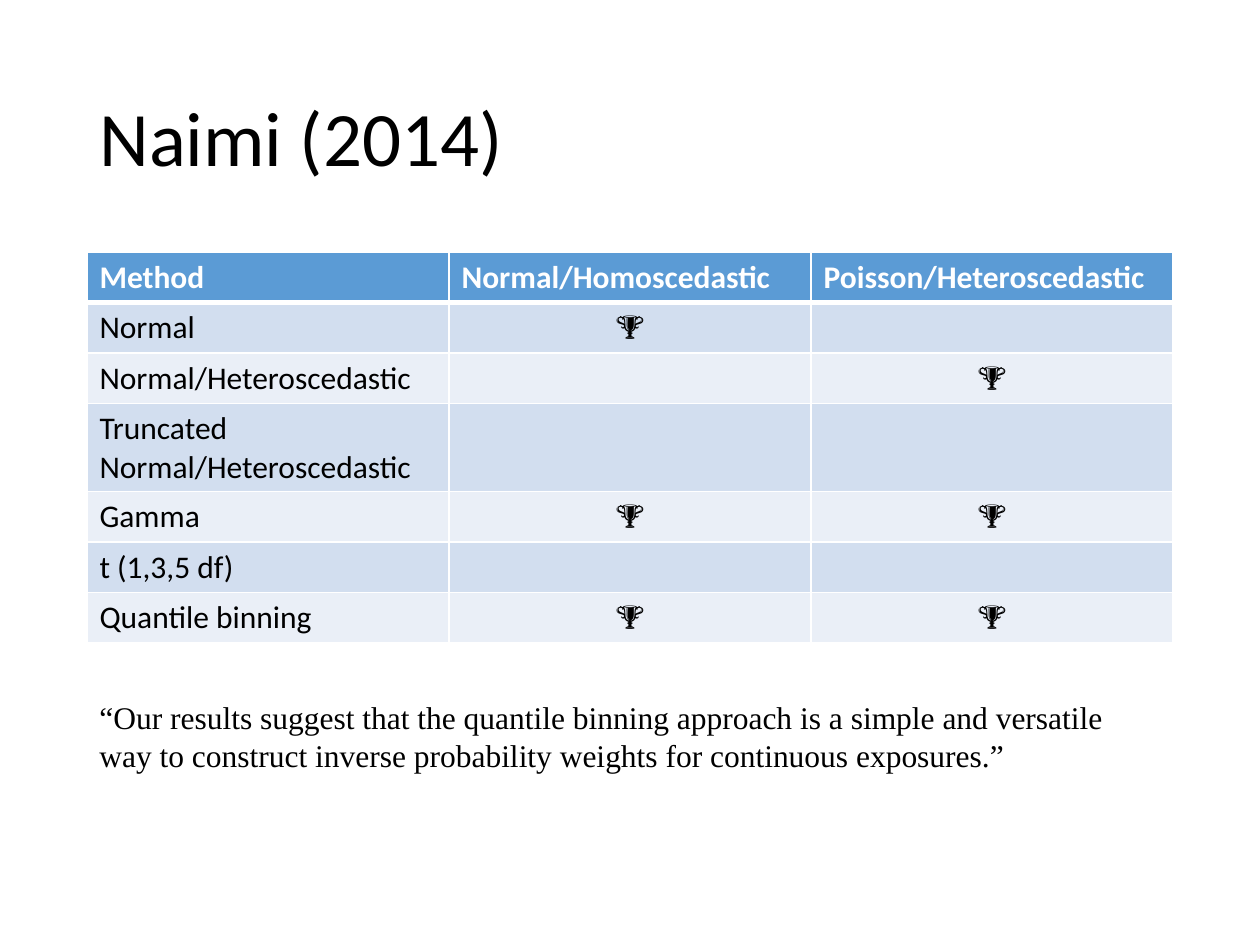
from lxml import etree
from pptx import Presentation
from pptx.dml.color import RGBColor
from pptx.enum.text import MSO_ANCHOR, PP_ALIGN
from pptx.oxml.ns import qn
from pptx.util import Inches, Pt

TITLE = "Naimi (2014)"
HEADERS = ["Method", "Normal/Homoscedastic", "Poisson/Heteroscedastic"]
# Method, wins under homoscedastic, wins under heteroscedastic
METHODS = [
    ("Normal", True, False),
    ("Normal/Heteroscedastic", False, True),
    ("Truncated Normal/Heteroscedastic", False, False),
    ("Gamma", True, True),
    ("t (1,3,5 df)", False, False),
    ("Quantile binning", True, True),
]
TROPHY = "🏆"
QUOTE = (
    "“Our results suggest that the quantile binning approach is a simple and "
    "versatile way to construct inverse probability weights for continuous exposures.”"
)
COLORS = {
    "text": "000000",
    "white": "FFFFFF",
    "header": "5B9BD5",
    "odd": "D2DEEF",
    "even": "EAEFF7",
}
LEFT, WIDTH = 0.69, 8.62
ROW_HEIGHT = 0.4


def color(name):
    return RGBColor.from_string(COLORS[name])


def add_run(paragraph, text, size=18, font="Calibri", color_name="text", bold=False):
    run = paragraph.add_run()
    run.text = text
    run.font.size = Pt(size)
    run.font.name = font
    run.font.bold = bold
    run.font.color.rgb = color(color_name)


def add_text(slide, top, height, text, anchor, line_spacing=1.0, **style):
    shape = slide.shapes.add_textbox(
        Inches(LEFT), Inches(top), Inches(WIDTH), Inches(height))
    frame = shape.text_frame
    frame.word_wrap = True
    frame.vertical_anchor = anchor
    paragraph = frame.paragraphs[0]
    paragraph.line_spacing = line_spacing
    add_run(paragraph, text, **style)


def set_borders(cell, top, bottom):
    properties = cell._tc.get_or_add_tcPr()
    widths = {"lnL": 1, "lnR": 1, "lnT": top, "lnB": bottom}
    for position, (side, width) in enumerate(widths.items()):
        line = etree.Element(qn(f"a:{side}"), w=str(Pt(width)))
        fill = etree.SubElement(line, qn("a:solidFill"))
        etree.SubElement(fill, qn("a:srgbClr"), val=COLORS["white"])
        properties.insert(position, line)


def add_method_table(slide):
    rows = [HEADERS] + [
        [method] + [TROPHY if wins else "" for wins in results]
        for method, *results in METHODS
    ]
    table = slide.shapes.add_table(
        len(rows), len(HEADERS), Inches(LEFT), Inches(2),
        Inches(WIDTH), Inches(ROW_HEIGHT * len(rows))).table
    for row_index, texts in enumerate(rows):
        is_header = row_index == 0
        band = "header" if is_header else ("even", "odd")[row_index % 2]
        table.rows[row_index].height = Inches(ROW_HEIGHT)
        for column_index, text in enumerate(texts):
            cell = table.cell(row_index, column_index)
            cell.fill.solid()
            cell.fill.fore_color.rgb = color(band)
            set_borders(cell, top=3 if row_index == 1 else 1,
                        bottom=3 if is_header else 1)
            paragraph = cell.text_frame.paragraphs[0]
            if text == TROPHY:
                paragraph.alignment = PP_ALIGN.CENTER
            if text:
                add_run(paragraph, text, bold=is_header,
                        color_name="white" if is_header else "text")


def main():
    presentation = Presentation()
    presentation.slide_width = Inches(10)
    presentation.slide_height = Inches(7.5)
    slide = presentation.slides.add_slide(presentation.slide_layouts[6])

    # Title, comparison table, closing quote
    add_text(slide, 0.4, 1.45, TITLE, MSO_ANCHOR.MIDDLE, line_spacing=0.9, size=44)
    add_method_table(slide)
    add_text(slide, 5.49, 1.01, QUOTE, MSO_ANCHOR.TOP, font="Times New Roman")

    presentation.save("out.pptx")


if __name__ == "__main__":
    main()
